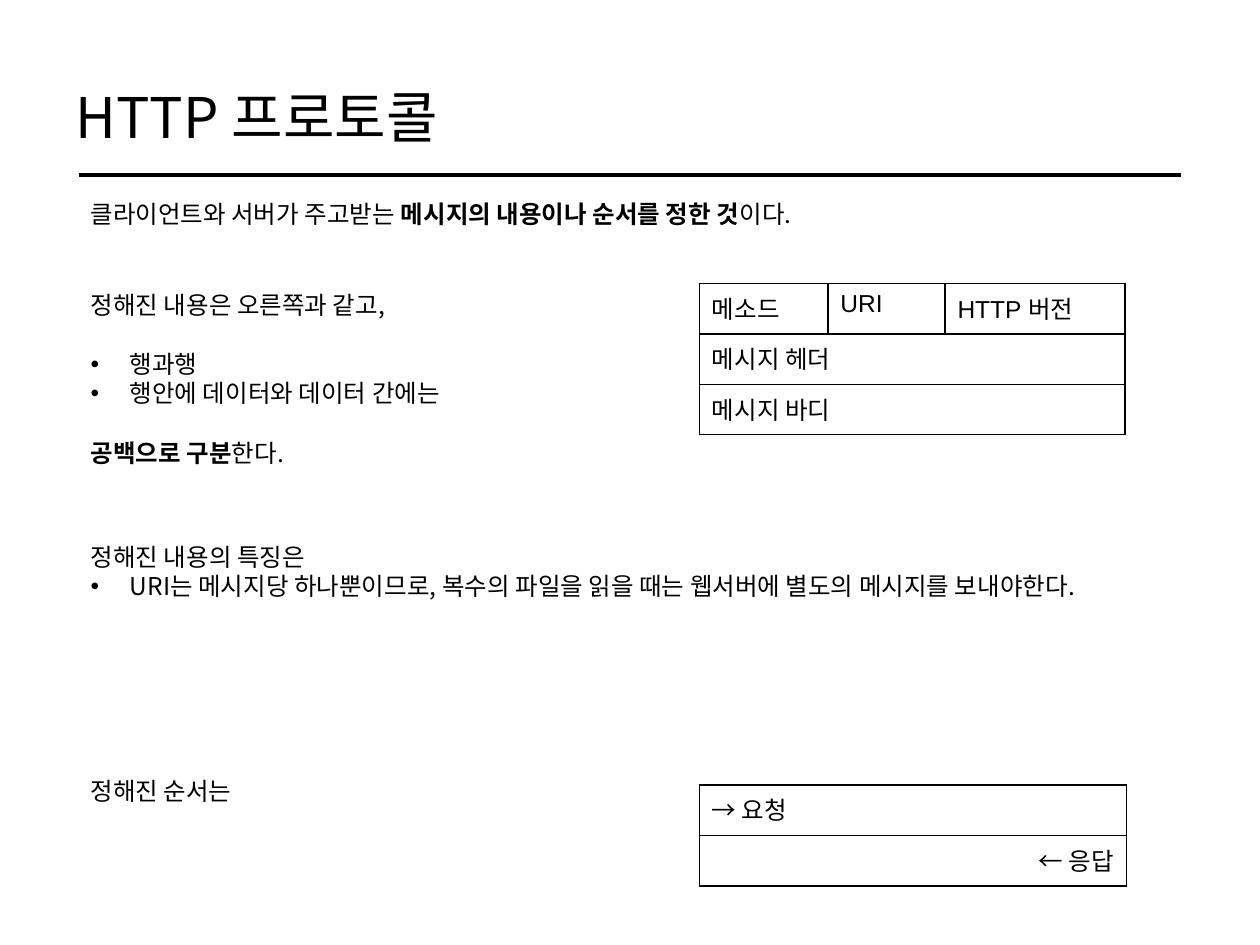
from dataclasses import dataclass

import lxml.etree
import pptx
import pptx.dml.color
import pptx.enum.shapes
import pptx.enum.text
import pptx.oxml.ns
import pptx.util

Pt = pptx.util.Pt
qn = pptx.oxml.ns.qn
ALIGN = pptx.enum.text.PP_ALIGN
ANCHOR = pptx.enum.text.MSO_ANCHOR
WIDTH, HEIGHT = pptx.util.Inches(10), pptx.util.Inches(7.5)


@dataclass(frozen=True)
class Theme:
    ink: str = "000000"
    korean: str = "Noto Sans CJK KR"
    latin: str = "Arial"
    title_size: int = 32
    text_size: int = 14
    rule_width: int = 2
    border_width: int = 1
    paragraph_gap: int = 17
    bullet_indent: float = 0.31


@dataclass(frozen=True)
class Box:
    """Place and size in inches, turned into shares of the slide."""
    left: float
    top: float
    width: float
    height: float

    def lengths(self) -> tuple[int, ...]:
        shares = (self.left / 10, self.top / 7.5, self.width / 10, self.height / 7.5)
        return tuple(round(s * full) for s, full in zip(shares, (WIDTH, HEIGHT) * 2))


@dataclass(frozen=True)
class Run:
    text: str
    bold: bool = False


@dataclass(frozen=True)
class Line:
    runs: tuple[Run, ...]
    bullet: bool = False
    gap_before: bool = False
    align: ALIGN = ALIGN.LEFT


@dataclass(frozen=True)
class Cell:
    text: str
    latin: str = Theme.latin
    align: ALIGN = ALIGN.LEFT


THEME = Theme()
TEXT_LEFT, TEXT_WIDTH = 0.62, 9
TABLE_LEFT, ROW_HEIGHT = 5.55, 0.4


def color() -> pptx.dml.color.RGBColor:
    return pptx.dml.color.RGBColor.from_string(THEME.ink)


def add_run(paragraph, piece: Run, size: int = THEME.text_size,
            latin: str = THEME.korean) -> None:
    run = paragraph.add_run()
    run.text = piece.text
    run.font.size = Pt(size)
    run.font.bold = piece.bold
    run.font.color.rgb = color()
    run.font.name = latin
    lxml.etree.SubElement(run.font._element, qn("a:ea"), typeface=THEME.korean)


def set_bullet(paragraph, bullet: bool) -> None:
    props = paragraph._p.get_or_add_pPr()
    indent = pptx.util.Inches(THEME.bullet_indent) if bullet else 0
    props.set("marL", str(indent))
    props.set("indent", str(-indent))
    if bullet:
        lxml.etree.SubElement(props, qn("a:buFont"), typeface=THEME.latin)
        lxml.etree.SubElement(props, qn("a:buChar"), char="•")
    else:
        lxml.etree.SubElement(props, qn("a:buNone"))


def place(shape, box: Box) -> None:
    shape.left, shape.top, shape.width, shape.height = box.lengths()


def write_lines(shape, lines: tuple[Line, ...]) -> None:
    frame = shape.text_frame
    frame.word_wrap = True
    frame.auto_size = pptx.enum.text.MSO_AUTO_SIZE.SHAPE_TO_FIT_TEXT
    for number, line in enumerate(lines):
        paragraph = frame.add_paragraph() if number else frame.paragraphs[0]
        paragraph.alignment = line.align
        paragraph.space_before = Pt(THEME.paragraph_gap if line.gap_before else 0)
        set_bullet(paragraph, line.bullet)
        for piece in line.runs:
            add_run(paragraph, piece)


def add_text(slide, box: Box, lines: tuple[Line, ...]) -> None:
    write_lines(slide.shapes.add_textbox(*box.lengths()), lines)


def add_rule(slide, left: float, right: float, top: float) -> None:
    x, y, length, _ = Box(left, top, right - left, 0).lengths()
    rule = slide.shapes.add_connector(
        pptx.enum.shapes.MSO_CONNECTOR.STRAIGHT, x, y, x + length, y)
    rule.line.color.rgb = color()
    rule.line.width = Pt(THEME.rule_width)
    lxml.etree.SubElement(rule._element.spPr, qn("a:effectLst"))


def set_borders(cell) -> None:
    props = cell._tc.get_or_add_tcPr()
    for side in ("lnL", "lnR", "lnT", "lnB"):
        border = lxml.etree.SubElement(props, qn(f"a:{side}"), w=str(Pt(THEME.border_width)))
        fill = lxml.etree.SubElement(border, qn("a:solidFill"))
        lxml.etree.SubElement(fill, qn("a:srgbClr"), val=THEME.ink)


def add_message_table(slide, top: float, widths: tuple[float, ...],
                      rows: tuple[tuple[Cell, ...], ...]) -> None:
    """A row with a single cell spans every column."""
    box = Box(TABLE_LEFT, top, sum(widths), ROW_HEIGHT * len(rows))
    table = slide.shapes.add_table(len(rows), len(widths), *box.lengths()).table
    table.first_row = table.horz_banding = False
    for column, width in zip(table.columns, widths):
        column.width = pptx.util.Inches(width)
    for cell in table.iter_cells():
        set_borders(cell)
        cell.fill.background()
    for r, row in enumerate(rows):
        if len(row) < len(widths):
            table.cell(r, 0).merge(table.cell(r, len(widths) - 1))
        for c, content in enumerate(row):
            paragraph = table.cell(r, c).text_frame.paragraphs[0]
            paragraph.alignment = content.align
            add_run(paragraph, Run(content.text), latin=content.latin)


def main() -> None:
    deck = pptx.Presentation()
    deck.slide_width, deck.slide_height = WIDTH, HEIGHT
    slide = deck.slides.add_slide(deck.slide_layouts.get_by_name("Two Content"))
    title, contents, features = list(slide.placeholders)[:3]

    place(title, Box(0.5, 0.21, 9, 1.42))
    title.text_frame.vertical_anchor = ANCHOR.MIDDLE
    heading = title.text_frame.paragraphs[0]
    heading.alignment = ALIGN.LEFT
    add_run(heading, Run("HTTP 프로토콜"), THEME.title_size)
    add_rule(slide, 0.63, 9.37, 1.39)

    add_text(slide, Box(TEXT_LEFT, 1.53, TEXT_WIDTH, 0.34), (
        Line((Run("클라이언트와 서버가 주고받는 "),
              Run("메시지의 내용이나 순서를 정한 것", bold=True), Run("이다."))),
    ))

    place(contents, Box(TEXT_LEFT, 2.25, TEXT_WIDTH, 1.51))
    write_lines(contents, (
        Line((Run("정해진 내용은 오른쪽과 같고,"),)),
        Line((Run("행과행"),), bullet=True, gap_before=True),
        Line((Run("행안에 데이터와 데이터 간에는"),), bullet=True),
        Line((Run("공백으로 구분", bold=True), Run("한다.")), gap_before=True),
    ))
    add_message_table(slide, 2.25, (1.02, 0.93, 1.43), (
        (Cell("메소드"), Cell("URI"), Cell("HTTP 버전")),
        (Cell("메시지 헤더"),),
        (Cell("메시지 바디"),),
    ))

    place(features, Box(TEXT_LEFT, 4.25, TEXT_WIDTH, 0.57))
    write_lines(features, (
        Line((Run("정해진 내용의 특징은"),)),
        Line((Run("URI는 메시지당 하나뿐이므로, 복수의 파일을 읽을 때는 "
                  "웹서버에 별도의 메시지를 보내야한다."),), bullet=True),
    ))

    add_text(slide, Box(TEXT_LEFT, 6.11, TEXT_WIDTH, 0.34),
             (Line((Run("정해진 순서는"),)),))
    add_message_table(slide, 6.23, (3.39,), (
        (Cell("→ 요청"),),
        (Cell("← 응답", align=ALIGN.RIGHT),),
    ))
    deck.save("out.pptx")


if __name__ == "__main__":
    main()
